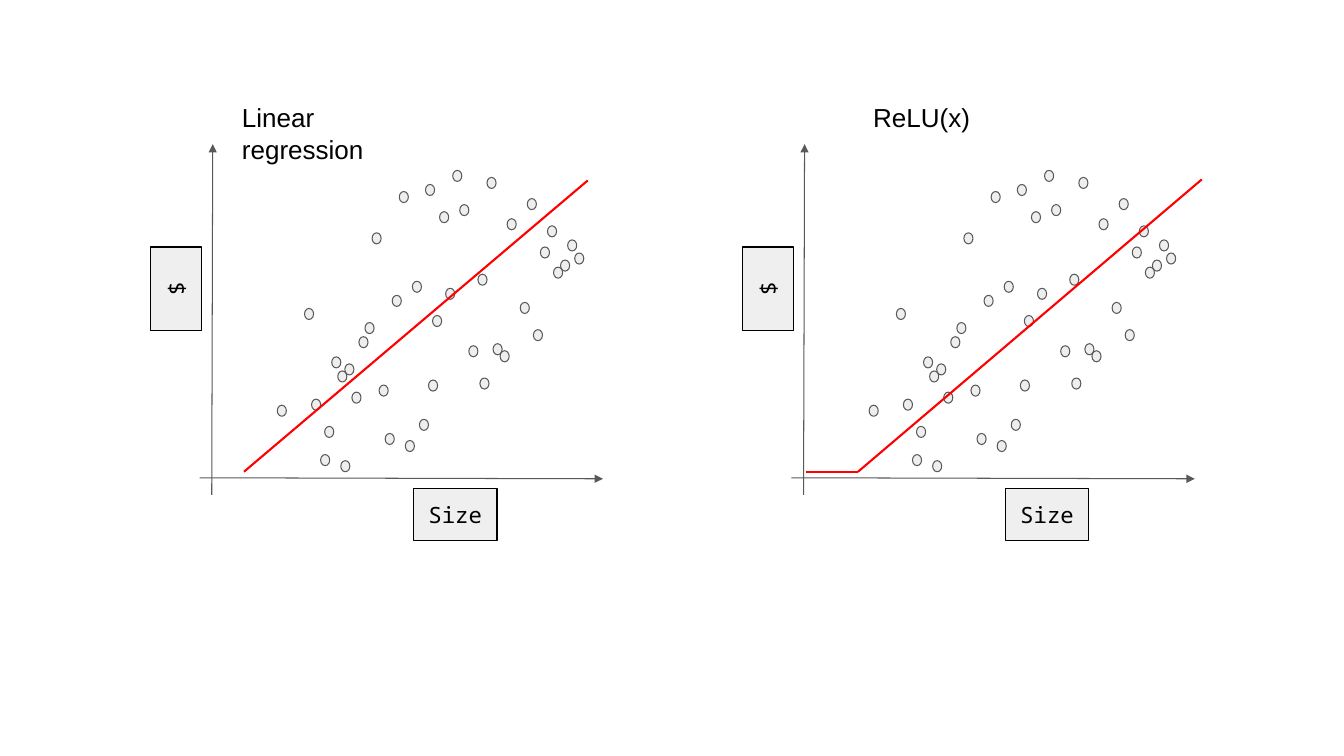
import pptx
import pptx.util
import pptx.dml.color
import pptx.enum.shapes
import pptx.enum.text
import pptx.oxml
import pptx.oxml.ns

WIDTH, HEIGHT = 1333, 750
SCALE = 9144
GRAY, BLACK, RED = "595959", "000000", "FF0000"
DOT, BOX = "EEEEEE", "EFEFEF"
MONO, SANS = "Noto Sans Mono", "Arial"

DOTS = [
    (302, 306), (275, 402), (318, 451), (329, 354), (338, 457), (349, 389),
    (322, 423), (309, 396), (422, 183), (342, 361), (456, 203), (474, 272),
    (362, 320), (369, 231), (409, 279), (402, 437), (429, 313), (476, 375),
    (465, 343), (425, 377), (376, 382), (416, 416), (543, 224), (529, 327),
    (563, 238), (570, 251), (549, 265), (536, 245), (556, 258), (396, 190),
    (335, 368), (436, 210), (382, 430), (442, 286), (356, 334), (389, 293),
    (483, 176), (489, 341), (523, 197), (516, 300), (449, 169), (503, 217),
    (496, 348),
]
LABELS = [("Size", 410, 485, 0), ("$", 133, 261, 270)]
AXES = [((198, 474), (598, 475)), ((210, 491), (211, 143))]
PANELS = [
    {"shift": 0, "name": "Linear regression", "left": 227, "width": 213,
     "trend": [(242, 468), (583, 179)]},
    {"shift": 587, "name": "ReLU(x)", "left": 266, "width": 134,
     "trend": [(212, 468), (264, 468), (605, 178)]},
]


def px(n):
    return pptx.util.Emu(n * SCALE)


def color(code):
    return pptx.dml.color.RGBColor.from_string(code)


def add_node(slide, kind, x, y, w, h, fill, line):
    node = slide.shapes.add_shape(kind, px(x), px(y), px(w), px(h))
    node.shadow.inherit = False
    node.fill.solid()
    node.fill.fore_color.rgb = color(fill)
    node.line.color.rgb = color(line)
    node.line.width = pptx.util.Pt(0.75)
    return node


def add_line(slide, start, end, shift, tint, width, arrow=False):
    line = slide.shapes.add_connector(
        pptx.enum.shapes.MSO_CONNECTOR.STRAIGHT,
        px(start[0] + shift), px(start[1]), px(end[0] + shift), px(end[1]))
    line.line.color.rgb = color(tint)
    line.line.width = pptx.util.Pt(width)
    if arrow:
        tail = pptx.oxml.parse_xml(
            '<a:tailEnd %s type="triangle"/>' % pptx.oxml.ns.nsdecls("a"))
        line.line._get_or_add_ln().append(tail)
    props = line._element.spPr
    props.append(pptx.oxml.parse_xml(
        "<a:effectLst %s/>" % pptx.oxml.ns.nsdecls("a")))


def set_text(shape, text, font, size, align, anchor):
    frame = shape.text_frame
    frame.word_wrap = True
    frame.margin_left = frame.margin_right = px(13)
    frame.margin_top = frame.margin_bottom = px(13)
    frame.vertical_anchor = anchor
    frame.text = text
    para = frame.paragraphs[0]
    para.alignment = align
    face = para.runs[0].font
    face.name = font
    face.size = pptx.util.Pt(size)
    face.color.rgb = color(BLACK)


def add_panel(slide, panel):
    kinds = pptx.enum.shapes.MSO_SHAPE
    align = pptx.enum.text.PP_ALIGN
    anchor = pptx.enum.text.MSO_ANCHOR
    shift = panel["shift"]
    for x, y in DOTS:
        add_node(slide, kinds.OVAL, x + shift, y, 9, 11, DOT, GRAY)
    for text, x, y, turn in LABELS:
        box = add_node(slide, kinds.RECTANGLE, x + shift, y, 83, 51,
                       BOX, BLACK)
        box.rotation = turn
        set_text(box, text, MONO, 16, align.CENTER, anchor.MIDDLE)
    trend = panel["trend"]
    for start, end in zip(trend, trend[1:]):
        add_line(slide, start, end, shift, RED, 1.5)
    for start, end in AXES:
        add_line(slide, start, end, shift, GRAY, 0.75, True)
    title = slide.shapes.add_textbox(
        px(panel["left"] + shift), px(88), px(panel["width"]), px(74))
    set_text(title, panel["name"], SANS, 18.6, align.LEFT, anchor.TOP)


def main():
    deck = pptx.Presentation()
    deck.slide_width, deck.slide_height = px(WIDTH), px(HEIGHT)
    slide = deck.slides.add_slide(deck.slide_layouts[6])
    for panel in PANELS:
        add_panel(slide, panel)
    deck.save("out.pptx")


if __name__ == "__main__":
    main()
